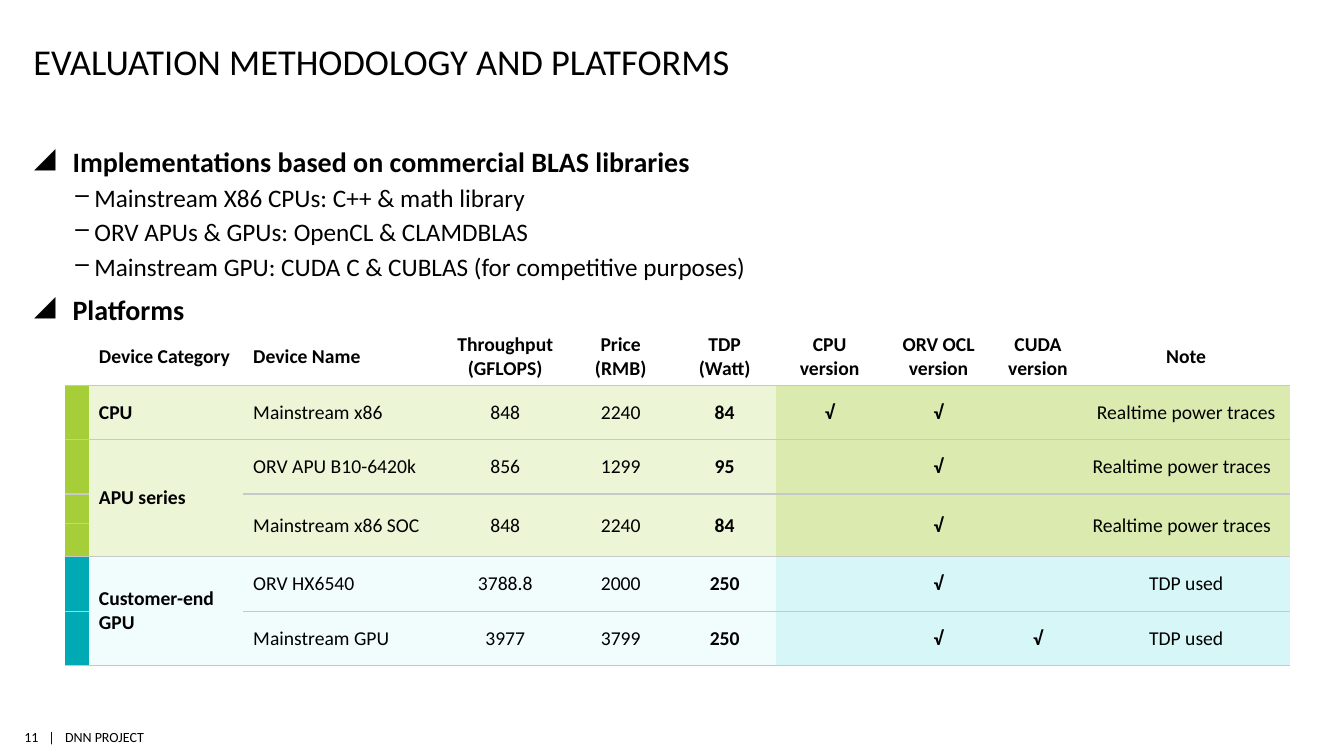
from lxml.etree import SubElement
from pptx import Presentation
from pptx.dml.color import RGBColor
from pptx.enum.text import MSO_ANCHOR as Anchor, PP_ALIGN as Align
from pptx.oxml.ns import qn
from pptx.util import Cm, Pt

NO_STYLE = "{2D5ABB26-0587-4C30-8999-92F81FD0307C}"
BLACK, RULE = "000000", "C7C8CA"
GREEN = ("A6CE39", "EDF5D7", "DBEBB0")
TEAL = ("00AAB5", "F1FCFD", "D6F6F8")
ROW_TINTS = [None] + [GREEN] * 4 + [TEAL] * 2

COLUMN_WIDTHS = [0.51, 3.89, 5.03, 3.15, 2.67, 2.57, 2.72, 2.77, 2.24, 5.23]
ROW_HEIGHTS = [1.45, 1.37, 1.37, 0.74, 0.84, 1.37, 1.37]
TDP, FIRST_VERSION, NOTE = 5, 6, 9
TRACES = "Realtime power traces"
PLATFORMS = [
    ["", "Device Category", "Device Name", "Throughput\n(GFLOPS)", "Price\n(RMB)", "TDP\n(Watt)",
     "CPU version", "ORV OCL version", "CUDA version", "Note"],
    ["", "CPU", "Mainstream x86", "848", "2240", "84", "√", "√", "", TRACES],
    ["", "APU series", "ORV APU B10-6420k", "856", "1299", "95", "", "√", "", TRACES],
    ["", "", "Mainstream x86 SOC", "848", "2240", "84", "", "√", "", TRACES],
    [""] * 10,
    ["", "Customer-end GPU", "ORV HX6540", "3788.8", "2000", "250", "", "√", "", "TDP used"],
    ["", "", "Mainstream GPU", "3977", "3799", "250", "", "√", "√", "TDP used"],
]
# (first row, first column, last row, last column)
SPANS = [(2, 1, 4, 1), (5, 1, 6, 1)] + [(3, column, 4, column) for column in range(2, 10)]

HEADING = {"size": 20, "bold": True, "bullet": "◢", "indent": (0.97, -0.97), "before": 8}
DETAIL = {"size": 18, "bold": False, "bullet": "‒", "indent": (1.52, -0.51), "before": 3}
OUTLINE = [
    ("Implementations based on commercial BLAS libraries", {**HEADING, "before": 0}),
    ("Mainstream X86 CPUs: C++ & math library", DETAIL),
    ("ORV APUs & GPUs: OpenCL & CLAMDBLAS", DETAIL),
    ("Mainstream GPU: CUDA C & CUBLAS (for competitive purposes)", DETAIL),
    ("Platforms", HEADING),
]


def rgb(value):
    return RGBColor.from_string(value)


class PlatformSlide:
    font_name = "Calibri"

    def __init__(self, deck):
        self.slide = deck.slides.add_slide(deck.slide_layouts[6])

    def add_text(self, paragraph, text, size, bold=False, align=Align.LEFT):
        paragraph.alignment = align
        run = paragraph.add_run()
        run.text = text
        style = {"name": self.font_name, "size": Pt(size), "bold": bold}
        for attribute, value in style.items():
            setattr(run.font, attribute, value)
        run.font.color.rgb = rgb(BLACK)

    def frame(self, left, top, width, height, **settings):
        """Add a text box without side margins and return its text frame."""
        box = self.slide.shapes.add_textbox(Cm(left), Cm(top), Cm(width), Cm(height))
        defaults = {"margin_left": 0, "margin_right": 0, "word_wrap": True}
        for attribute, value in {**defaults, **settings}.items():
            setattr(box.text_frame, attribute, value)
        return box.text_frame

    def title(self, text):
        frame = self.frame(0.84, 0.76, 28.96, 1.32, vertical_anchor=Anchor.BOTTOM, margin_bottom=0)
        self.add_text(frame.paragraphs[0], text, 26)

    def footer(self, text, left, width, align=Align.LEFT):
        frame = self.frame(left, 18.24, width, 0.66, vertical_anchor=Anchor.MIDDLE,
                           word_wrap=False, margin_top=Cm(0.1), margin_bottom=Cm(0.1))
        paragraph = frame.paragraphs[0]
        if "\t" in text:
            stops = SubElement(paragraph._p.get_or_add_pPr(), qn("a:tabLst"))
            SubElement(stops, qn("a:tab"), pos=str(Cm(0.42)), algn="l")
        self.add_text(paragraph, text, 10, align=align)

    def outline(self, items):
        frame = self.frame(0.86, 3.51, 31.5, 12.95)
        for index, (text, level) in enumerate(items):
            paragraph = frame.add_paragraph() if index else frame.paragraphs[0]
            paragraph.space_before = Pt(level["before"])
            self.bullet(paragraph, level["bullet"], *level["indent"])
            self.add_text(paragraph, text, level["size"], level["bold"])

    def bullet(self, paragraph, character, margin, hanging):
        properties = paragraph._p.get_or_add_pPr()
        properties.set("marL", str(Cm(margin)))
        properties.set("indent", str(Cm(hanging)))
        SubElement(SubElement(properties, qn("a:buClr")), qn("a:srgbClr"), val=BLACK)
        SubElement(properties, qn("a:buChar"), char=character)

    def rule(self, cell, side):
        line = SubElement(cell._tc.get_or_add_tcPr(), qn(f"a:ln{side}"), w=str(Pt(1)))
        fill = SubElement(line, qn("a:solidFill"))
        SubElement(fill, qn("a:srgbClr"), val=RULE)

    def cell(self, cell, row, column, text):
        cell.vertical_anchor = Anchor.MIDDLE
        if not cell.is_spanned:
            for side in "TB" if row else "B":
                self.rule(cell, side)
        tints = ROW_TINTS[row]
        if tints:
            cell.fill.solid()
            cell.fill.fore_color.rgb = rgb(tints[(column > 0) + (column >= FIRST_VERSION)])
        else:
            cell.fill.background()
        if not text:
            # keeps an empty cell from stretching its row
            SubElement(cell.text_frame.paragraphs[0]._p, qn("a:endParaRPr"), sz="800")
            return
        bold = row == 0 or column in (1, TDP) or text == "√"
        left = column < 3 or (column == NOTE and row in (2, 3))
        for index, line in enumerate(text.split("\n")):
            frame = cell.text_frame
            paragraph = frame.add_paragraph() if index else frame.paragraphs[0]
            self.add_text(paragraph, line, 14, bold, Align.LEFT if left else Align.CENTER)

    def table(self, rows, left, top):
        table = self.slide.shapes.add_table(
            len(rows), len(COLUMN_WIDTHS), Cm(left), Cm(top),
            Cm(sum(COLUMN_WIDTHS)), Cm(sum(ROW_HEIGHTS))).table
        table.first_row = table.horz_banding = False
        table._tbl.tblPr.find(qn("a:tableStyleId")).text = NO_STYLE
        for column, width in zip(table.columns, COLUMN_WIDTHS):
            column.width = Cm(width)
        for row, height in zip(table.rows, ROW_HEIGHTS):
            row.height = Cm(height)
        for top_row, first, bottom_row, last in SPANS:
            table.cell(top_row, first).merge(table.cell(bottom_row, last))
        for row, texts in enumerate(rows):
            for column, text in enumerate(texts):
                self.cell(table.cell(row, column), row, column, text)


def main():
    deck = Presentation()
    deck.slide_width, deck.slide_height = Cm(33.87), Cm(19.05)
    page = PlatformSlide(deck)
    page.footer("|\tDNN PROJECT", 1.22, 2.44)
    page.footer("11", 0.56, 0.41, Align.RIGHT)
    page.title("EVALUATION METHODOLOGY AND PLATFORMS")
    page.outline(OUTLINE)
    page.table(PLATFORMS, 1.63, 8.26)
    deck.save("out.pptx")


if __name__ == "__main__":
    main()
